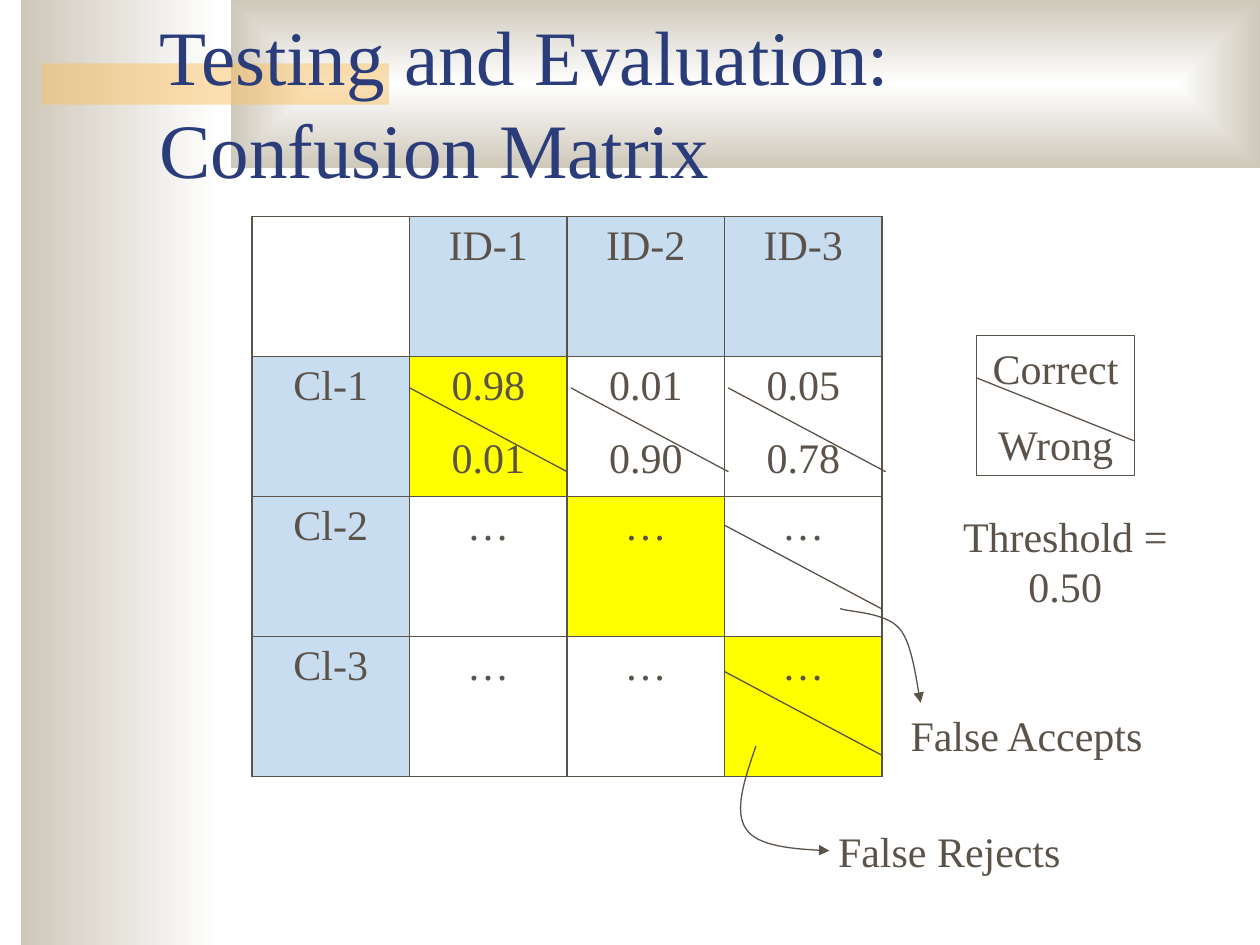
import lxml.etree
import pptx
import pptx.chart.data
import pptx.dml.color
import pptx.enum.shapes
import pptx.enum.text
import pptx.oxml
import pptx.oxml.ns
import pptx.util

Cm, Pt = pptx.util.Cm, pptx.util.Pt
RGBColor = pptx.dml.color.RGBColor
RECT = pptx.enum.shapes.MSO_SHAPE.RECTANGLE
STRAIGHT = pptx.enum.shapes.MSO_CONNECTOR.STRAIGHT
ALIGN = pptx.enum.text.PP_ALIGN
ANCHOR = pptx.enum.text.MSO_ANCHOR
qn = pptx.oxml.ns.qn

FONT = "Times New Roman"
WHITE = RGBColor(0xFF, 0xFF, 0xFF)
SAND = RGBColor(0xCE, 0xC8, 0xBA)
GOLD = RGBColor(0xFA, 0xC1, 0x64)
NAVY = RGBColor(0x2A, 0x3D, 0x7A)
BROWN = RGBColor(0x5B, 0x52, 0x49)
BLUE = RGBColor(0xC9, 0xDD, 0xF1)
YELLOW = RGBColor(0xFF, 0xFF, 0x00)

ROWS = [
    ["", "ID-1", "ID-2", "ID-3"],
    ["Cl-1", "0.98\n0.01", "0.01\n0.90", "0.05\n0.78"],
    ["Cl-2", "…", "…", "…"],
    ["Cl-3", "…", "…", "…"],
]
# Starts of the cell diagonals, in cm from the matrix corner
CUTS = [(3.18, 3.45), (6.43, 3.45), (9.6, 3.45), (9.53, 6.22), (9.53, 9.17)]
# Bézier points of the arrows, in cm from the label corner
REJECT = [(-1.4, -1.47), (-1.63, -0.81), (-1.85, -0.15), (-1.6, 0.2),
          (-1.37, 0.56), (-0.64, 0.61), (0.08, 0.64)]
ACCEPT = [(-1.14, -1.9), (-0.97, -1.83), (-0.23, -1.83), (0.05, -1.5),
          (0.33, -1.19), (0.41, -0.3), (0.48, 0)]


def write(frame, text, size=24, color=BROWN, align=ALIGN.CENTER, gap=0):
    frame.text = text
    for i, para in enumerate(frame.paragraphs):
        para.alignment = align
        para.space_before = Pt(gap if i else 0)
        para.font.size = Pt(size)
        para.font.name = FONT
        para.font.color.rgb = color


def panel(shapes, box):
    shape = shapes.add_shape(RECT, *map(Cm, box))
    shape.shadow.inherit = False
    shape.line.fill.background()
    return shape


def ink(shape):
    shape.line.color.rgb = BROWN
    shape.line.width = Pt(0.75)


def slash(shapes, x, y, wide, high):
    line = shapes.add_connector(STRAIGHT, Cm(x), Cm(y), Cm(x + wide), Cm(y + high))
    ink(line)
    lxml.etree.SubElement(line._element.spPr, qn("a:effectLst"))


def label(shapes, box, text, wrap=False):
    frame = shapes.add_textbox(*map(Cm, box)).text_frame
    frame.word_wrap = wrap
    write(frame, text)


def fade(shape):
    shape.fill.gradient()
    shape.fill.gradient_angle = 180
    for stop, color in zip(shape.fill.gradient_stops, (WHITE, SAND)):
        stop.color.rgb = color


def backdrop(slide, box):
    x, y, wide, high = box
    # Side band
    fade(panel(slide.shapes, (x + 0.42, y, 4.02, high)))
    # Top band, fading from its centre
    top = panel(slide.shapes, (x + 4.66, y, wide - 4.66, 3.39))
    fade(top)
    lin = top._element.spPr.find(".//" + qn("a:lin"))
    path = lxml.etree.Element(qn("a:path"), {"path": "rect"})
    lxml.etree.SubElement(path, qn("a:fillToRect"), dict.fromkeys("ltrb", "50000"))
    lin.getparent().replace(lin, path)
    # Half-clear gold bar
    bar = panel(slide.shapes, (x + 0.85, y + 1.28, 6.99, 0.83))
    bar.fill.solid()
    bar.fill.fore_color.rgb = GOLD
    tint = bar._element.spPr.find(".//" + qn("a:srgbClr"))
    lxml.etree.SubElement(tint, qn("a:alpha"), val="50000")


def heading(slide, box, text):
    title = slide.shapes.title
    title.left, title.top, title.width, title.height = map(Cm, box)
    frame = title.text_frame
    write(frame, text, 44, NAVY, ALIGN.LEFT)
    frame.vertical_anchor = ANCHOR.BOTTOM
    frame.auto_size = pptx.enum.text.MSO_AUTO_SIZE.NONE
    slide.shapes._spTree.append(title._element)  # in front of the bands


def border(cell):
    props = cell._tc.get_or_add_tcPr()
    for i, side in enumerate(("lnL", "lnR", "lnT", "lnB")):
        edge = lxml.etree.Element(qn("a:" + side), w=str(Pt(0.75)))
        fill = lxml.etree.SubElement(edge, qn("a:solidFill"))
        lxml.etree.SubElement(fill, qn("a:srgbClr"), val=str(BROWN))
        props.insert(i, edge)


def matrix(slide, box):
    x, y, wide, high = box
    count = len(ROWS)
    table = slide.shapes.add_table(count, count, *map(Cm, box)).table
    table.first_row = table.horz_banding = False
    for r, row in enumerate(ROWS):
        table.rows[r].height = Cm(high / count)
        table.columns[r].width = Cm(wide / count)
        for c, text in enumerate(row):
            cell = table.cell(r, c)
            if text:
                write(cell.text_frame, text, gap=15)
            if r == c == 0 or (r and c and r != c):
                cell.fill.background()
            else:
                cell.fill.solid()
                cell.fill.fore_color.rgb = YELLOW if r == c else BLUE
            border(cell)
    # Diagonals splitting the cells
    for dx, dy in CUTS:
        slash(slide.shapes, x + dx, y + dy, wide / count, 1.69)


def legend(slide, box):
    x, y, wide, high = box
    group = slide.shapes.add_group_shape().shapes
    key = panel(group, (x, y, wide, high))
    key.fill.background()
    ink(key)
    key.text_frame.vertical_anchor = ANCHOR.TOP
    write(key.text_frame, "Correct\nWrong", gap=15)
    slash(group, x, y + 0.85, wide, 1.27)
    label(slide.shapes, (x - 0.64, y + 3.39, 4.85, 2.29), "Threshold =\n0.50", True)


def bend(points, steps=16):
    """Points along a chain of cubic Bézier curves."""
    track = [points[0]]
    for i in range(0, len(points) - 1, 3):
        for n in range(1, steps + 1):
            t = n / steps
            u = 1 - t
            mix = (u ** 3, 3 * u * u * t, 3 * u * t * t, t ** 3)
            track.append(tuple(sum(m * p[k] for m, p in zip(mix, points[i:i + 4]))
                               for k in (0, 1)))
    return track


def callout(slide, box, text, points):
    x, y = box[:2]
    track = [(Cm(x + dx), Cm(y + dy)) for dx, dy in bend(points)]
    pen = slide.shapes.build_freeform(*track[0])
    pen.add_line_segments(track[1:], close=False)
    arrow = pen.convert_to_shape()
    arrow.shadow.inherit = False
    arrow.fill.background()
    ink(arrow)
    lxml.etree.SubElement(arrow.line._get_or_add_ln(), qn("a:tailEnd"), type="triangle")
    label(slide.shapes, box, text)


def main():
    deck = pptx.Presentation()
    deck.slide_width, deck.slide_height = Cm(25.4), Cm(19.05)
    slide = deck.slides.add_slide(deck.slide_layouts[5])
    backdrop(slide, (0, 0, 25.4, 19.05))
    heading(slide, (2.96, 0.85, 21.59, 3.18), "Testing and Evaluation: Confusion Matrix")
    matrix(slide, (5.08, 4.37, 12.7, 11.29))
    legend(slide, (19.69, 6.77, 3.18, 2.82))
    callout(slide, (16.64, 16.51, 5, 1.27), "False Rejects", REJECT)
    callout(slide, (18.08, 14.17, 5.23, 1.27), "False Accepts", ACCEPT)
    deck.save("out.pptx")


if __name__ == "__main__":
    main()
